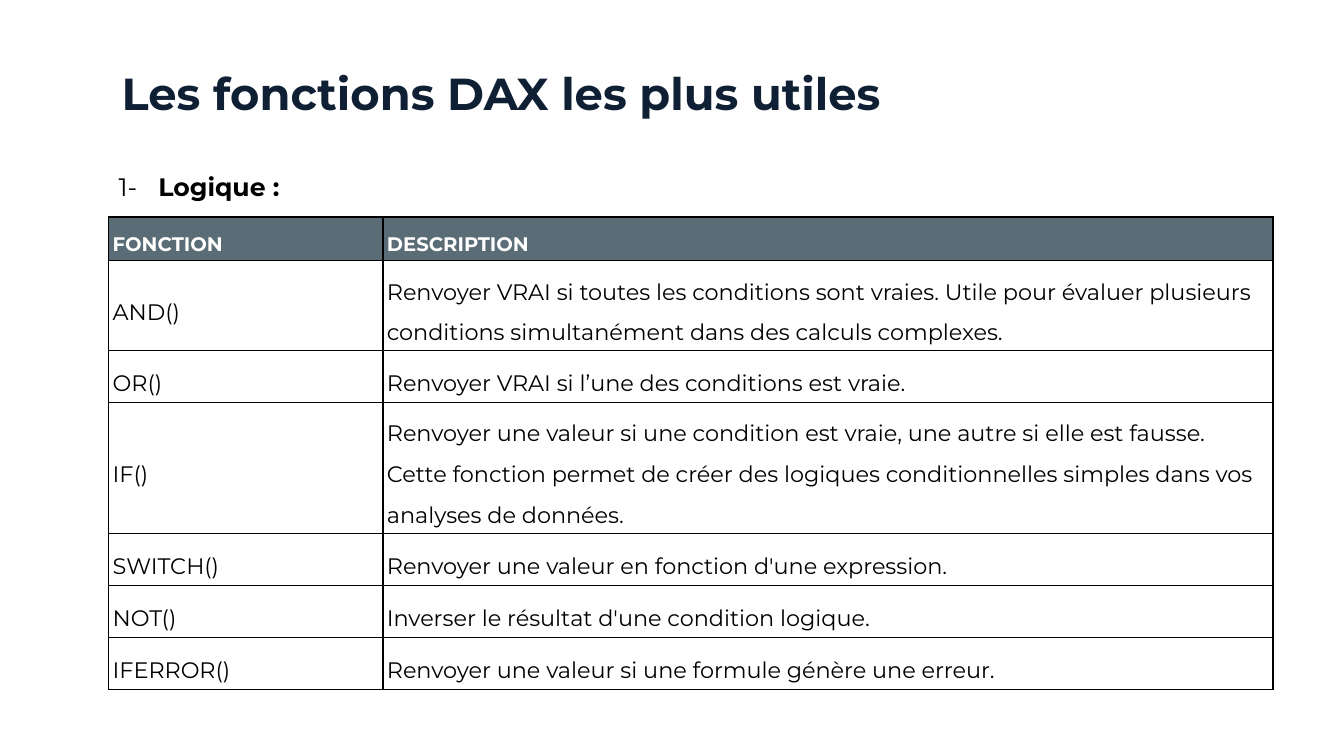
import pptx
import pptx.dml.color
import pptx.enum.text
import pptx.oxml
import pptx.oxml.ns
import pptx.util
from lxml import etree

Cm, Pt = pptx.util.Cm, pptx.util.Pt
ALIGN = pptx.enum.text.PP_ALIGN
ANCHOR = pptx.enum.text.MSO_ANCHOR

TITLE = "Les fonctions DAX les plus utiles"
SECTION = ("1-\t", "Logique :")
HEADER = ("FONCTION", "DESCRIPTION")
FUNCTIONS = [
    ("AND()", "Renvoyer VRAI si toutes les conditions sont vraies. Utile pour évaluer "
              "plusieurs conditions simultanément dans des calculs complexes."),
    ("OR()", "Renvoyer VRAI si l’une des conditions est vraie."),
    ("IF()", "Renvoyer une valeur si une condition est vraie, une autre si elle est fausse. "
             "Cette fonction permet de créer des logiques conditionnelles simples dans vos "
             "analyses de données."),
    ("SWITCH()", "Renvoyer une valeur en fonction d'une expression."),
    ("NOT()", "Inverser le résultat d'une condition logique."),
    ("IFERROR()", "Renvoyer une valeur si une formule génère une erreur."),
]
COLUMN_WIDTHS = (6.91, 22.43)
ROW_HEIGHTS = (1.09, 2.25, 1.31, 3.3, 1.31, 1.31, 1.31)
LEFT = 2.74
NAVY, SLATE, WHITE, BLACK = "0F2035", "5A6C75", "FFFFFF", "000000"


def rgb(color):
    return pptx.dml.color.RGBColor.from_string(color)


def set_all(target, **values):
    for name, value in values.items():
        setattr(target, name, value)


def add_run(paragraph, text, size, color, bold=False):
    run = paragraph.add_run()
    run.text = text
    set_all(run.font, name="Montserrat", size=Pt(size), bold=bold)
    run.font.color.rgb = rgb(color)


def add_borders(cell):
    properties = cell._tc.get_or_add_tcPr()
    for position, side in enumerate(("lnL", "lnR", "lnT", "lnB")):
        properties.insert(position, pptx.oxml.parse_xml(
            f'<a:{side} {pptx.oxml.ns.nsdecls("a")} w="{Pt(1)}"><a:solidFill>'
            f'<a:srgbClr val="{BLACK}"/></a:solidFill></a:{side}>'))


def add_title(slide):
    title = slide.shapes.title
    set_all(title, left=Cm(0.48), top=Cm(1.04), width=Cm(24.31), height=Cm(2.11))
    set_all(title.text_frame, vertical_anchor=ANCHOR.BOTTOM, word_wrap=True,
            auto_size=pptx.enum.text.MSO_AUTO_SIZE.NONE)
    paragraph = title.text_frame.paragraphs[0]
    set_all(paragraph, alignment=ALIGN.CENTER, line_spacing=Pt(19.6), space_before=Pt(0))
    add_run(paragraph, TITLE, 32, NAVY, bold=True)


def add_section(slide):
    section = slide.shapes.add_textbox(Cm(LEFT), Cm(3.81), Cm(16.94), Cm(1.27))
    section.text_frame.word_wrap = True
    paragraph = section.text_frame.paragraphs[0]
    set_all(paragraph, alignment=ALIGN.JUSTIFY, line_spacing=1.5)
    tabs = etree.SubElement(paragraph._p.get_or_add_pPr(), pptx.oxml.ns.qn("a:tabLst"))
    etree.SubElement(tabs, pptx.oxml.ns.qn("a:tab"), pos=str(Cm(1)), algn="l")
    number, name = SECTION
    add_run(paragraph, number, 18, BLACK)
    add_run(paragraph, name, 18, BLACK, bold=True)


def add_function_table(slide):
    rows = [HEADER, *FUNCTIONS]
    table = slide.shapes.add_table(
        len(rows), len(HEADER), Cm(LEFT), Cm(5.47),
        Cm(sum(COLUMN_WIDTHS)), Cm(sum(ROW_HEIGHTS))).table
    set_all(table, first_row=False, horz_banding=False)
    for column, width in zip(table.columns, COLUMN_WIDTHS):
        column.width = Cm(width)
    for row, height, texts in zip(table.rows, ROW_HEIGHTS, rows):
        row.height = Cm(height)
        is_header = texts is HEADER
        for cell, text in zip(row.cells, texts):
            set_all(cell, vertical_anchor=ANCHOR.MIDDLE, margin_left=Cm(0.1),
                    margin_right=Cm(0.1), margin_top=Cm(0.1), margin_bottom=Cm(0.1))
            paragraph = cell.text_frame.paragraphs[0]
            paragraph.line_spacing = 1.5
            if is_header:
                cell.fill.solid()
                cell.fill.fore_color.rgb = rgb(SLATE)
                add_run(paragraph, text, 14, WHITE, bold=True)
            else:
                cell.fill.background()
                add_run(paragraph, text, 16, BLACK)
            add_borders(cell)


def main():
    deck = pptx.Presentation()
    set_all(deck, slide_width=Cm(33.87), slide_height=Cm(19.05))
    slide = deck.slides.add_slide(deck.slide_layouts.get_by_name("Title Only"))
    add_title(slide)
    add_function_table(slide)
    add_section(slide)
    deck.save("out.pptx")


if __name__ == "__main__":
    main()
